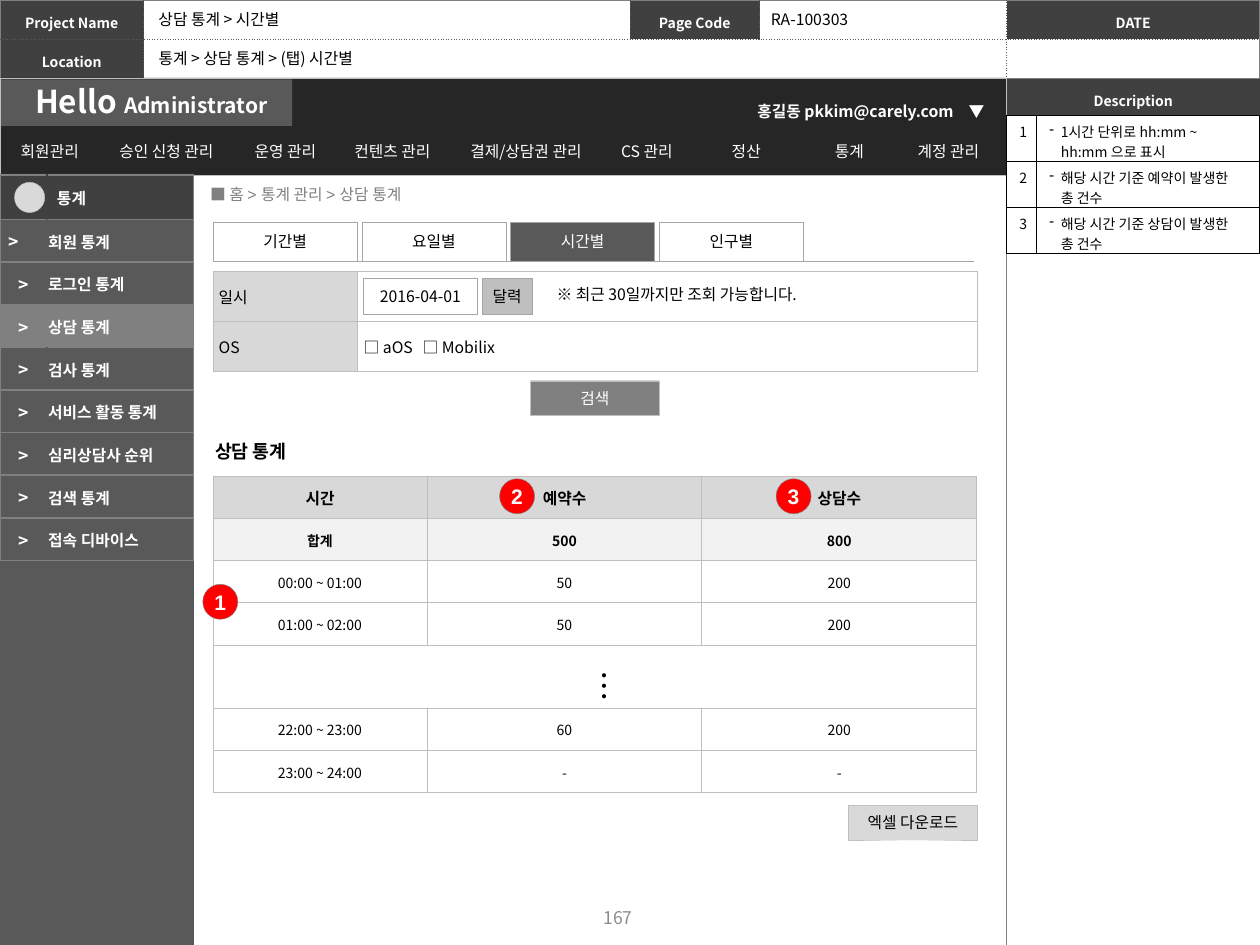
from dataclasses import dataclass
from typing import NamedTuple, Optional

from lxml.etree import SubElement
from pptx import Presentation
from pptx.dml.color import RGBColor
from pptx.enum.shapes import MSO_CONNECTOR, MSO_SHAPE
from pptx.enum.text import MSO_ANCHOR, MSO_AUTO_SIZE, PP_ALIGN
from pptx.oxml.ns import qn
from pptx.util import Pt

INK = {
    "white": "FFFFFF", "black": "000000", "night": "262626", "dark": "404040",
    "slate": "595959", "gray": "808080", "mute": "8C8C8C", "edge": "A6A6A6",
    "rule": "BFBFBF", "head": "D8D8D8", "pale": "D9D9D9", "mist": "F2F2F2", "red": "FF0000",
}
SANS = "Noto Sans CJK KR"
LEFT, MID = PP_ALIGN.LEFT, PP_ALIGN.CENTER
BOX = (7.2, 3.6, 7.2, 3.6)
TIGHT = (0.7, 0.7, 0.7, 0)


class Face(NamedTuple):
    size: float = 9
    ink: str = "black"
    bold: bool = False
    font: str = SANS


class Edge(NamedTuple):
    ink: str
    width: float
    dash: str = "solid"


@dataclass
class Text:
    words: str = ""
    face: Face = Face()
    align: PP_ALIGN = MID
    pad: tuple = BOX
    lead: Optional[float] = None
    anchor: MSO_ANCHOR = MSO_ANCHOR.MIDDLE
    bullet: str = ""
    tab: float = 0


@dataclass
class Cell:
    text: Text
    fill: str = ""


@dataclass
class Grid:
    at: tuple
    cols: list
    rows: list
    cells: list
    outer: Edge
    inner: Edge
    span: tuple = ()
    seam: bool = False


def color(name: str) -> RGBColor:
    return RGBColor.from_string(INK[name])


def style(para, face: Face) -> None:
    font = para.font
    font.size, font.bold, font.name = Pt(face.size), face.bold, face.font
    font.color.rgb = color(face.ink)
    SubElement(para._p.pPr.find(qn("a:defRPr")), qn("a:ea"), typeface=SANS)


def write(host, frame, text: Text) -> None:
    host.margin_left, host.margin_top, host.margin_right, host.margin_bottom = map(Pt, text.pad)
    host.vertical_anchor = text.anchor
    para = frame.paragraphs[0]
    if not text.words:
        SubElement(para._p, qn("a:endParaRPr"), sz="800")
        return
    para.text = text.words
    para.alignment = text.align
    if text.lead:
        para.line_spacing = text.lead
    props = para._p.get_or_add_pPr()
    if text.bullet:
        props.set("marL", str(Pt(6.5)))
        props.set("indent", str(-Pt(6.5)))
        SubElement(props, qn("a:buChar"), char=text.bullet)
    if text.tab:
        tabs = SubElement(props, qn("a:tabLst"))
        SubElement(tabs, qn("a:tab"), pos=str(Pt(text.tab)), algn="l")
    style(para, text.face)


def border(cell, side: str, edge: Edge) -> None:
    line = SubElement(cell._tc.get_or_add_tcPr(), qn(f"a:ln{side}"), w=str(Pt(edge.width)))
    SubElement(SubElement(line, qn("a:solidFill")), qn("a:srgbClr"), val=INK[edge.ink])
    SubElement(line, qn("a:prstDash"), val=edge.dash)


def table(slide, grid: Grid) -> None:
    high, wide = len(grid.rows), len(grid.cols)
    size = (*grid.at, sum(grid.cols), sum(grid.rows))
    tab = slide.shapes.add_table(high, wide, *map(Pt, size)).table
    tab.first_row = tab.horz_banding = False
    for col, width in zip(tab.columns, grid.cols):
        col.width = Pt(width)
    for row, height in zip(tab.rows, grid.rows):
        row.height = Pt(height)
    for r, line in enumerate(grid.cells):
        for c, spec in enumerate(line):
            cell = tab.cell(r, c)
            seam = Edge(spec.fill, grid.inner.width) if grid.seam else grid.inner
            border(cell, "L", seam if c else grid.outer)
            border(cell, "R", seam if c < wide - 1 else grid.outer)
            border(cell, "T", grid.inner if r else grid.outer)
            border(cell, "B", grid.inner if r < high - 1 else grid.outer)
            if spec.fill:
                cell.fill.solid()
                cell.fill.fore_color.rgb = color(spec.fill)
            else:
                cell.fill.background()
            write(cell, cell.text_frame, spec.text)
    if grid.span:
        row, start, end = grid.span
        tab.cell(row, start).merge(tab.cell(row, end))


def shape(slide, at: tuple, fill: str, line: str = "", text: Optional[Text] = None,
          kind=MSO_SHAPE.RECTANGLE) -> None:
    item = slide.shapes.add_shape(kind, *map(Pt, at))
    item.shadow.inherit = False
    item.fill.solid()
    item.fill.fore_color.rgb = color(fill)
    if line:
        item.line.color.rgb = color(line)
        item.line.width = Pt(0.25)
    else:
        item.line.fill.background()
    if text:
        item.text_frame.word_wrap = False
        write(item.text_frame, item.text_frame, text)


def label(slide, at: tuple, text: Text, wrap: bool = False):
    frame = slide.shapes.add_textbox(*map(Pt, at)).text_frame
    frame.word_wrap = wrap
    if not wrap:
        frame.auto_size = MSO_AUTO_SIZE.SHAPE_TO_FIT_TEXT
    write(frame, frame, text)
    return frame


def note(words: str, face: Face = Face(), align=LEFT, lead=None) -> Text:
    return Text(words, face, align, lead=lead, anchor=MSO_ANCHOR.TOP)


def frame_top(slide) -> None:
    def title(words: str) -> Cell:
        return Cell(Text(words, Face(8, "white", True), pad=(2.9,) * 4, lead=1.3), "dark")

    solid, dots = Edge("gray", 0.5), Edge("slate", 0.5, "sysDot")
    void = Cell(Text(pad=(0,) * 4))
    table(slide, Grid((0, 0), [82.1, 277.9, 74.2, 141.1, 144.7], [22.3] * 2, [
        [title("Project Name"), void, title("Page Code"), void, title("DATE")],
        [title("Location"), void, void, void, void]], solid, dots, (1, 1, 3)))
    table(slide, Grid((575.3, 44.6), [144.7], [22.3, 473.1],
                      [[title("Description")], [void]], solid, dots))
    shape(slide, (0, 44.6, 575.3, 55.4), "night", "rule")
    shape(slide, (0.7, 45.4, 166.3, 26.6), "slate")
    brand = label(slide, (13, 43.2, 150.5, 28.8), note("Hello ", Face(18, "white", True)))
    run = brand.paragraphs[0].add_run()
    run.text, run.font.size = "Administrator", Pt(12)
    menu = ["회원관리", "승인 신청 관리", "운영 관리", "컨텐츠 관리", "결제/상담권 관리",
            "CS 관리", "정산", "통계", "계정 관리"]
    edge = Edge("night", 1)
    table(slide, Grid((1.4, 74.9), [54, 79.2, 56.9, 65.5, 87.1, 51.1, 62.6, 55.4, 57.6], [22.3],
                      [[Cell(Text(m, Face(9, "white"), pad=(2, 3.6, 2, 3.6))) for m in menu]],
                      edge, edge))
    user = Face(9, "white", True)
    label(slide, (419, 52.6, 139.7, 18.7), note("홍길동 pkkim@carely.com", user, MID, 1.2), True)
    label(slide, (546.5, 52.6, 23.8, 18.7), note("▼", user, lead=1.2))
    label(slide, (83.5, 2.2, 93.6, 18), note("상담 통계 > 시간별"))
    label(slide, (433.4, 2.2, 59.8, 18), note("RA-100303"))
    label(slide, (83.5, 24.5, 142.6, 18), note("통계 > 상담 통계 > (탭) 시간별"))


def side_menu(slide) -> None:
    shape(slide, (0, 99.4, 110.9, 440.6), "slate")
    bold = Face(9, "white", True)
    cells = [[Cell(Text(), "dark"),
              Cell(Text("통계", bold, LEFT, (5.7, 0.7, 0.7, 0)), "dark")]]
    names = ["회원 통계", "로그인 통계", "상담 통계", "검사 통계", "서비스 활동 통계",
             "심리상담사 순위", "검색 통계", "접속 디바이스"]
    for i, name in enumerate(names):
        fill = "gray" if i == 2 else "slate"
        pad = TIGHT if i else (0.7, 0.7, 12, 0)
        cells.append([Cell(Text(">", Face(10, "white", True), pad=pad), fill),
                      Cell(Text(name, bold, LEFT, TIGHT), fill)])
    edge = Edge("gray", 1)
    table(slide, Grid((0, 100.1), [26.9, 83.8], [25.2] + [24.4] * 8, cells, edge, edge, seam=True))
    shape(slide, (8.3, 104.2, 17.3, 17.3), "pale", "rule", kind=MSO_SHAPE.OVAL)


def search(slide) -> None:
    label(slide, (105.1, 98.6, 447.8, 24.5), Text(
        "■ 홈 > 통계 관리 > 상담 통계", Face(9, "gray", font="Arial"), LEFT,
        (15, 3.6, 7.2, 3.6)), True)
    for i, name in enumerate(["기간별", "요일별", "시간별", "인구별"]):
        fill, ink = ("slate", "white") if i == 2 else ("white", "black")
        shape(slide, (121.7 + 85 * i, 126.9, 82.4, 22.3), fill, "edge", Text(name, Face(9, ink)))
    line = slide.shapes.add_connector(MSO_CONNECTOR.STRAIGHT, *map(Pt, (122.4, 149.5, 556.6, 149.5)))
    line.line.color.rgb, line.line.width = color("edge"), Pt(0.75)
    SubElement(line._element.spPr, qn("a:effectLst"))
    edge, pad = Edge("rule", 0.5), (3.3, 0.7, 0.7, 0)
    table(slide, Grid((121.7, 155.2), [82.8, 353.8], [28.5] * 2, [
        [Cell(Text("일시", align=LEFT, pad=pad), "head"), Cell(Text())],
        [Cell(Text("OS", align=LEFT, pad=pad), "head"),
         Cell(Text("□ aOS\t□ Mobilix", align=LEFT, pad=pad, tab=33.7))]], edge, edge))
    shape(slide, (207.4, 159.1, 65.5, 20.2), "white", "edge", Text("2016-04-01"))
    shape(slide, (275.6, 159.1, 28.4, 20.2), "rule", "edge", Text("달력"))
    shape(slide, (303.2, 217.6, 73.6, 20), "gray", "rule", Text("검색", Face(9, "white")))
    label(slide, (311, 159.1, 167.8, 18), note("※ 최근 30일까지만 조회 가능합니다."))


def stats(slide) -> None:
    label(slide, (115.9, 247.7, 64.8, 20.2), note("상담 통계", Face(10.5, "black", True)))
    rows = [("시간", "예약수", "상담수"), ("합계", "500", "800"),
            ("00:00 ~ 01:00", "50", "200"), ("01:00 ~ 02:00", "50", "200"), ("", "", ""),
            ("22:00 ~ 23:00", "60", "200"), ("23:00 ~ 24:00", "-", "-")]
    looks = [(Face(9, "black", True), "head"), (Face(8, "black", True), "mist")]
    looks += [(Face(8), "white")] * 5
    cells = [[Cell(Text(word, face, pad=TIGHT), fill) for word in row]
             for row, (face, fill) in zip(rows, looks)]
    edge = Edge("rule", 0.5)
    table(slide, Grid((121.7, 272.2), [122.4, 157, 157], [24.1] * 4 + [36] + [24.1] * 2,
                      cells, edge, edge, (4, 0, 2)))
    dots = label(slide, (324, 375.8, 36, 20.9), note("…", Face(18)))
    dots._txBody.bodyPr.set("vert", "eaVert")
    shape(slide, (484.6, 460.1, 73.9, 19.8), "pale", "rule", Text("엑셀 다운로드"))
    for num, spot in enumerate([(115.9, 333.9), (285.5, 273.6), (443.5, 273.6)], 1):
        shape(slide, (*spot, 20, 20), "red", "gray",
              Text(str(num), Face(12, "white", True, "Arial")), MSO_SHAPE.OVAL)
    label(slide, (269.3, 509.8, 167.8, 28.8), Text("167", Face(10, "mute")), True)


def remarks(slide) -> None:
    notes = [("1시간 단위로 hh:mm ~ hh:mm 으로 표시", SANS),
             ("해당 시간 기준 예약이 발생한 총 건수", "Arial"),
             ("해당 시간 기준 상담이 발생한 총 건수", "Arial")]
    top, edge = MSO_ANCHOR.TOP, Edge("black", 0.5)
    cells = [[Cell(Text(str(i), Face(8), LEFT, (7.2, 3, 0, 0), anchor=top), "white"),
              Cell(Text(words, Face(8, font=font), LEFT, (7.2, 3, 12, 0),
                        anchor=top, bullet="-"), "white")]
             for i, (words, font) in enumerate(notes, 1)]
    table(slide, Grid((575.3, 66), [17.2, 127.4], [26.3] * 3, cells, edge, edge))


def main() -> None:
    deck = Presentation()
    deck.slide_width, deck.slide_height = Pt(720), Pt(540)
    slide = deck.slides.add_slide(deck.slide_layouts[6])
    for draw in (frame_top, search, stats, side_menu, remarks):
        draw(slide)
    deck.save("out.pptx")


if __name__ == "__main__":
    main()
